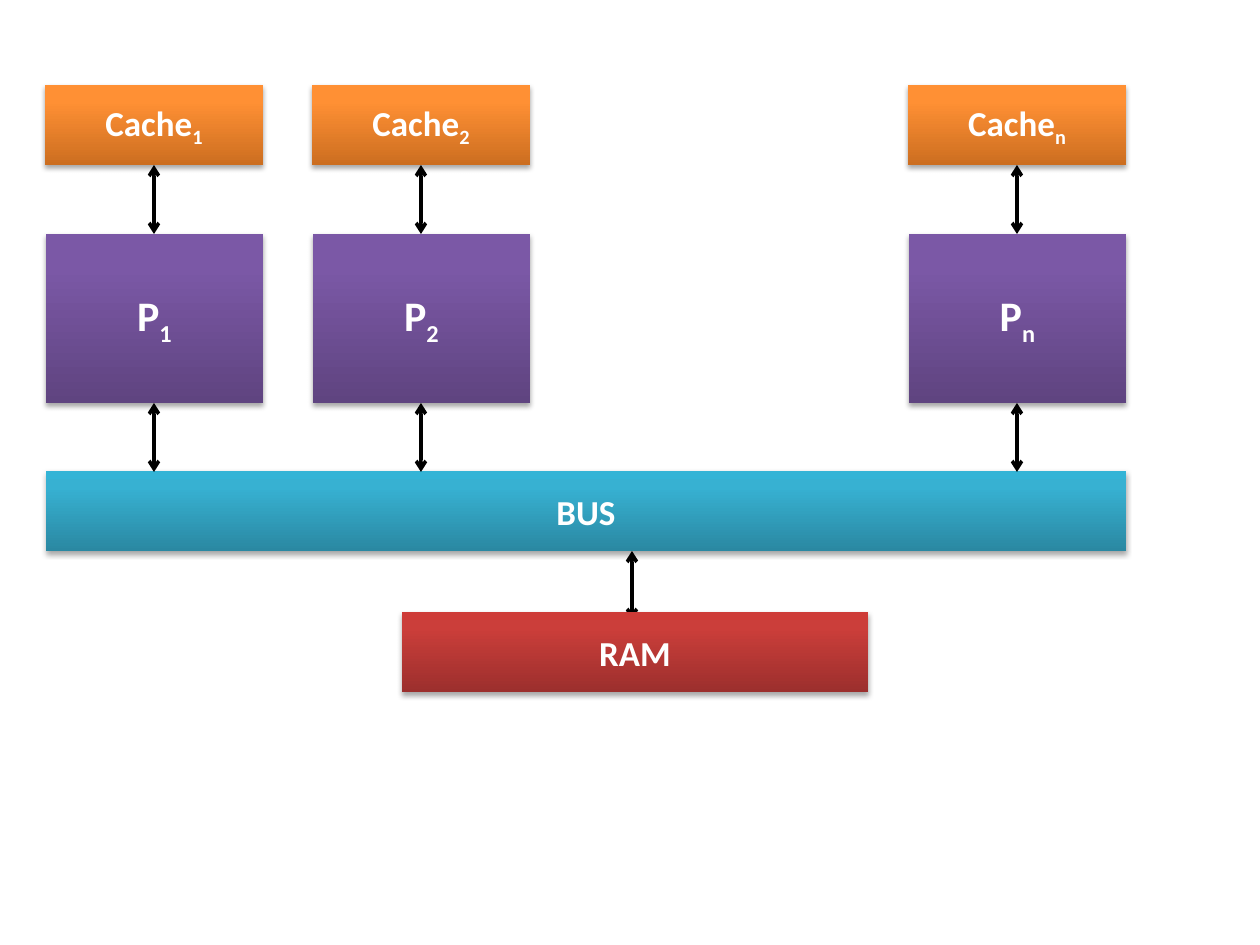
from copy import deepcopy
from dataclasses import dataclass

from lxml import etree
from pptx import Presentation
from pptx.dml.color import RGBColor
from pptx.enum.shapes import MSO_CONNECTOR, MSO_SHAPE
from pptx.enum.text import MSO_ANCHOR, PP_ALIGN
from pptx.oxml.ns import qn
from pptx.util import Emu, Pt

RECTANGLE = MSO_SHAPE.RECTANGLE
STRAIGHT = MSO_CONNECTOR.STRAIGHT
MIDDLE = MSO_ANCHOR.MIDDLE
CENTER = PP_ALIGN.CENTER
PIXEL = 914400 / 126


@dataclass(frozen=True)
class Theme:
    font: str = "Calibri"
    label_size: int = 20
    processor_size: int = 24
    text: str = "FFFFFF"
    ink: str = "000000"
    arrow_width: int = 2
    cache: tuple = ("CC6E20", "FF9034", "FF9136")
    processor: tuple = ("5F4480", "7B58A6", "7C57A8")
    bus: tuple = ("2A88A2", "37B1D2", "34B4D6")
    ram: tuple = ("9C2F2D", "CB3E3A", "CE3B37")
    stops: tuple = (0, 0.8, 1)


def px(value):
    return Emu(round(value * PIXEL))


class Diagram:
    def __init__(self, slide, theme):
        self.slide = slide
        self.theme = theme

    def block(self, box, colors, label, subscript="", size=None):
        shape = self.slide.shapes.add_shape(RECTANGLE, *map(px, box))
        shape.line.fill.background()
        self.shade(shape, colors)
        self.drop_shadow(shape)
        frame = shape.text_frame
        frame.word_wrap = True
        frame.vertical_anchor = MIDDLE
        paragraph = frame.paragraphs[0]
        paragraph.alignment = CENTER
        for text, baseline in ((label, 0), (subscript, -25000)):
            if text:
                self.add_run(paragraph, text, baseline, size or self.theme.label_size)

    def add_run(self, paragraph, text, baseline, size):
        run = paragraph.add_run()
        run.text = text
        font = run.font
        font.name = self.theme.font
        font.size = Pt(size)
        font.bold = True
        font.color.rgb = RGBColor.from_string(self.theme.text)
        if baseline:
            run._r.get_or_add_rPr().set("baseline", str(baseline))

    def shade(self, shape, colors):
        shape.fill.gradient()
        shape.fill.gradient_angle = 90
        stop_list = next(shape._element.spPr.iter(qn("a:gsLst")))
        stop_list.append(deepcopy(stop_list[-1]))
        for stop, position, color in zip(
            shape.fill.gradient_stops, self.theme.stops, colors
        ):
            stop.position = position
            stop.color.rgb = RGBColor.from_string(color)

    def drop_shadow(self, shape):
        shape.shadow.inherit = False
        effects = shape._element.spPr.find(qn("a:effectLst"))
        shadow = etree.SubElement(
            effects, qn("a:outerShdw"), blurRad="39370", dist="22860",
            dir="5400000", rotWithShape="0",
        )
        color = etree.SubElement(shadow, qn("a:srgbClr"), val=self.theme.ink)
        etree.SubElement(color, qn("a:alpha"), val="35000")

    def link(self, x, top, bottom):
        arrow = self.slide.shapes.add_connector(
            STRAIGHT, px(x), px(top), px(x), px(bottom)
        )
        arrow.line.width = Pt(self.theme.arrow_width)
        arrow.line.color.rgb = RGBColor.from_string(self.theme.ink)
        properties = arrow._element.spPr
        outline = properties.find(qn("a:ln"))
        for end in ("a:headEnd", "a:tailEnd"):
            etree.SubElement(outline, qn(end), type="arrow")
        etree.SubElement(properties, qn("a:effectLst"))


presentation = Presentation()
presentation.slide_width = px(1260)
presentation.slide_height = px(945)
theme = Theme()
diagram = Diagram(
    presentation.slides.add_slide(presentation.slide_layouts[6]), theme
)

cache_top, processor_top, bus_top, ram_top = 85, 234, 471, 612
bar_height, processor_height = 80, 169
cache_width = 218
cores = {"1": 45, "2": 312, "n": 908}

diagram.block((46, bus_top, 1080, bar_height), theme.bus, "BUS")
diagram.link(632, bus_top + bar_height, 620)
diagram.block((402, ram_top, 466, bar_height), theme.ram, "RAM")

for index, left in cores.items():
    middle = left + cache_width / 2
    diagram.block(
        (left, cache_top, cache_width, bar_height), theme.cache, "Cache", index
    )
    diagram.block(
        (left + 1, processor_top, cache_width - 1, processor_height),
        theme.processor, "P", index, theme.processor_size,
    )
    diagram.link(middle, cache_top + bar_height, processor_top)
    diagram.link(middle, processor_top + processor_height, bus_top + 1)

presentation.save("out.pptx")
